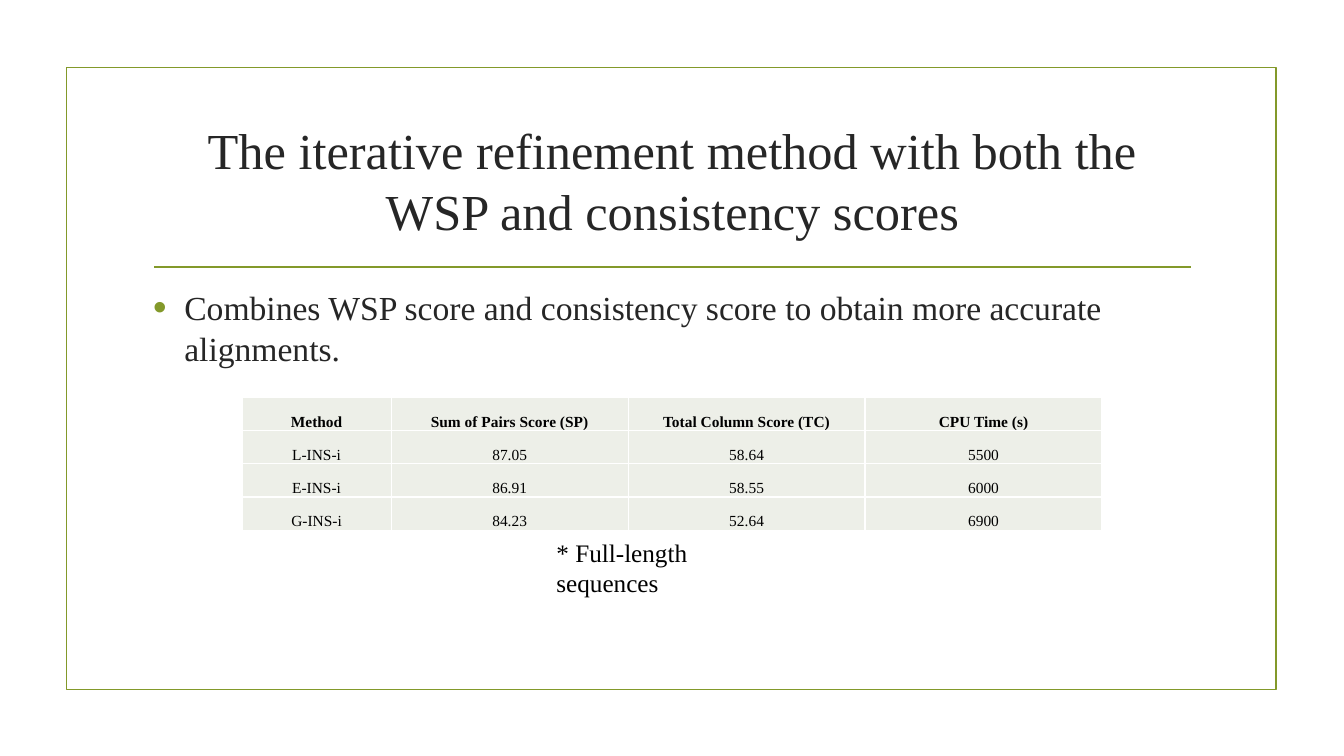
from lxml import etree
from pptx import Presentation
from pptx import util as u
from pptx.dml.color import RGBColor
from pptx.enum import shapes, text
from pptx.oxml import ns

OLIVE = RGBColor(0x83, 0x99, 0x2A)
CHARCOAL = RGBColor(0x26, 0x26, 0x26)
BLACK = RGBColor(0, 0, 0)
PALE = RGBColor(0xED, 0xEF, 0xE8)
FONT = "Times New Roman"

COLUMN_WIDTHS = [1.48, 2.35, 2.35, 2.35]
ROW_HEIGHT = 0.33
SCORES = [
    ["Method", "Sum of Pairs Score (SP)", "Total Column Score (TC)", "CPU Time (s)"],
    ["L-INS-i", "87.05", "58.64", "5500"],
    ["E-INS-i", "86.91", "58.55", "6000"],
    ["G-INS-i", "84.23", "52.64", "6900"],
]


def inches(*lengths):
    return [u.Inches(length) for length in lengths]


def assign(target, values):
    for name, value in values.items():
        setattr(target, name, value)


def add_child(parent, tag, **attributes):
    return etree.SubElement(parent, ns.qn(tag), attributes)


def write(frame, words, size, color, align=text.PP_ALIGN.LEFT, bold=False):
    para = frame.paragraphs[0]
    para.alignment = align
    span = para.add_run()
    span.text = words
    assign(span.font, {"name": FONT, "size": u.Pt(size), "bold": bold})
    span.font.color.rgb = color
    return para


def add_text(page, place, words, size, color, align=text.PP_ALIGN.LEFT,
             anchor=text.MSO_ANCHOR.TOP):
    frame = page.shapes.add_textbox(*inches(*place)).text_frame
    assign(frame, {"word_wrap": True, "vertical_anchor": anchor})
    return write(frame, words, size, color, align)


def add_bullet(para):
    props = para._p.get_or_add_pPr()
    indent = u.Inches(0.31)
    props.set("marL", str(indent))
    props.set("indent", str(-indent))
    add_child(add_child(props, "a:buClr"), "a:srgbClr", val=str(OLIVE))
    add_child(props, "a:buSzPct", val="115000")
    add_child(props, "a:buFont", typeface="Arial")
    add_child(props, "a:buChar", char="•")


def style_line(line):
    line.color.rgb = OLIVE
    line.width = u.Pt(1.25)


def add_frame(page):
    border = page.shapes.add_shape(
        shapes.MSO_SHAPE.RECTANGLE, *inches(0.66, 0.67, 12, 6.17))
    border.shadow.inherit = False
    border.fill.background()
    style_line(border.line)


def add_rule(page):
    rule = page.shapes.add_connector(
        shapes.MSO_CONNECTOR.STRAIGHT, *inches(1.53, 2.65, 11.81, 2.65))
    style_line(rule.line)
    add_child(rule._element.spPr, "a:effectLst")


def add_borders(cell):
    """Put white one-point lines on all sides, ahead of the fill as the schema asks."""
    props = cell._tc.get_or_add_tcPr()
    for position, side in enumerate(("a:lnL", "a:lnR", "a:lnT", "a:lnB")):
        edge = add_child(props, side, w=str(u.Pt(1)))
        add_child(add_child(edge, "a:solidFill"), "a:srgbClr", val="FFFFFF")
        props.insert(position, edge)


def add_scores(page):
    rows, columns = len(SCORES), len(COLUMN_WIDTHS)
    place = inches(2.4, 3.94, sum(COLUMN_WIDTHS), rows * ROW_HEIGHT)
    table = page.shapes.add_table(rows, columns, *place).table
    for column, width in zip(table.columns, COLUMN_WIDTHS):
        column.width = u.Inches(width)
    cell_format = {
        "vertical_anchor": text.MSO_ANCHOR.BOTTOM,
        "margin_left": u.Inches(0.01),
        "margin_right": u.Inches(0.01),
        "margin_top": u.Inches(0.01),
        "margin_bottom": 0,
    }
    for r, values in enumerate(SCORES):
        table.rows[r].height = u.Inches(ROW_HEIGHT)
        for c, value in enumerate(values):
            cell = table.cell(r, c)
            assign(cell, cell_format)
            cell.fill.solid()
            cell.fill.fore_color.rgb = PALE
            add_borders(cell)
            write(cell.text_frame, value, 11, BLACK, text.PP_ALIGN.CENTER, bold=r == 0)


def main():
    deck = Presentation()
    assign(deck, {"slide_width": u.Inches(13.33), "slide_height": u.Inches(7.5)})
    page = deck.slides.add_slide(deck.slide_layouts[6])
    add_frame(page)
    add_rule(page)
    add_text(page, (1.42, 1.07, 10.5, 1.43),
             "The iterative refinement method with both the WSP and consistency scores",
             36, CHARCOAL, text.PP_ALIGN.CENTER, text.MSO_ANCHOR.MIDDLE)
    summary = add_text(
        page, (1.42, 2.8, 10.5, 3.63),
        "Combines WSP score and consistency score to obtain more accurate alignments.",
        24, CHARCOAL)
    summary.space_after = u.Pt(6)
    add_bullet(summary)
    add_scores(page)
    add_text(page, (5.42, 5.28, 2.49, 0.4), "* Full-length sequences", 18, BLACK)
    deck.save("out.pptx")


if __name__ == "__main__":
    main()
